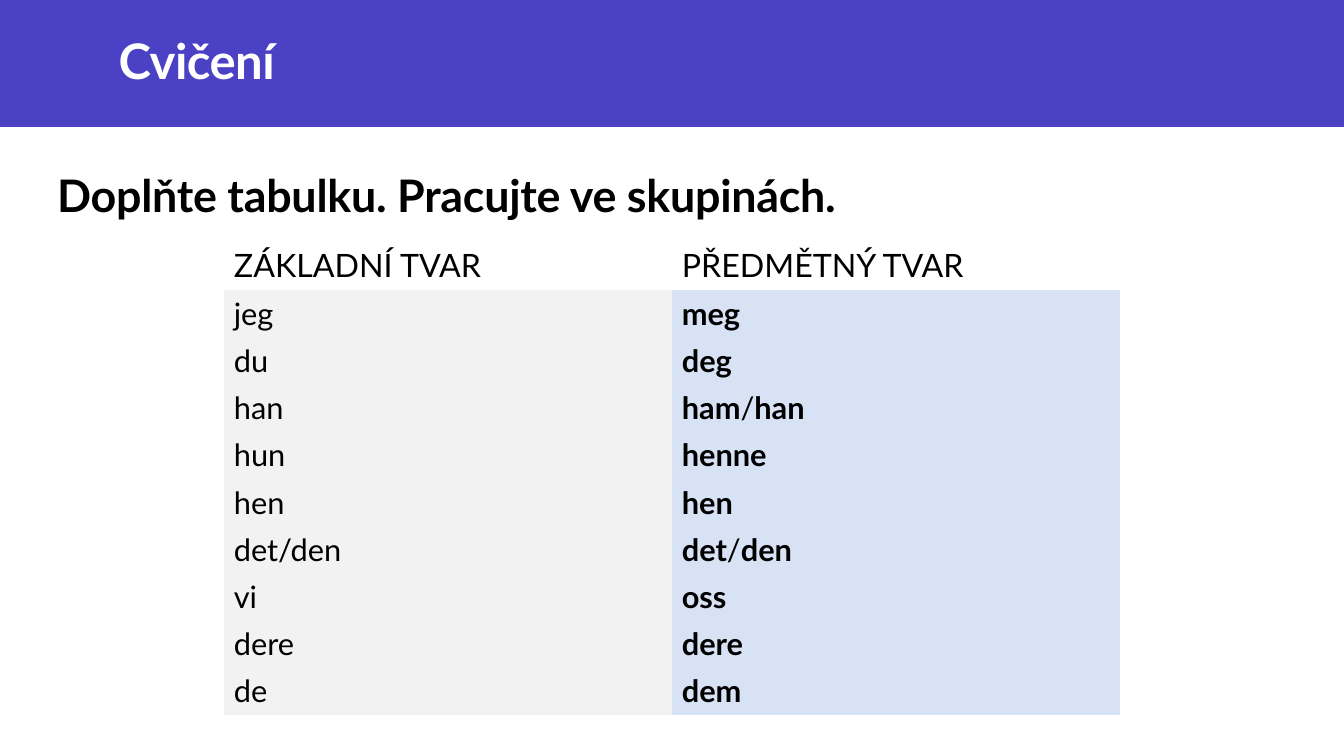
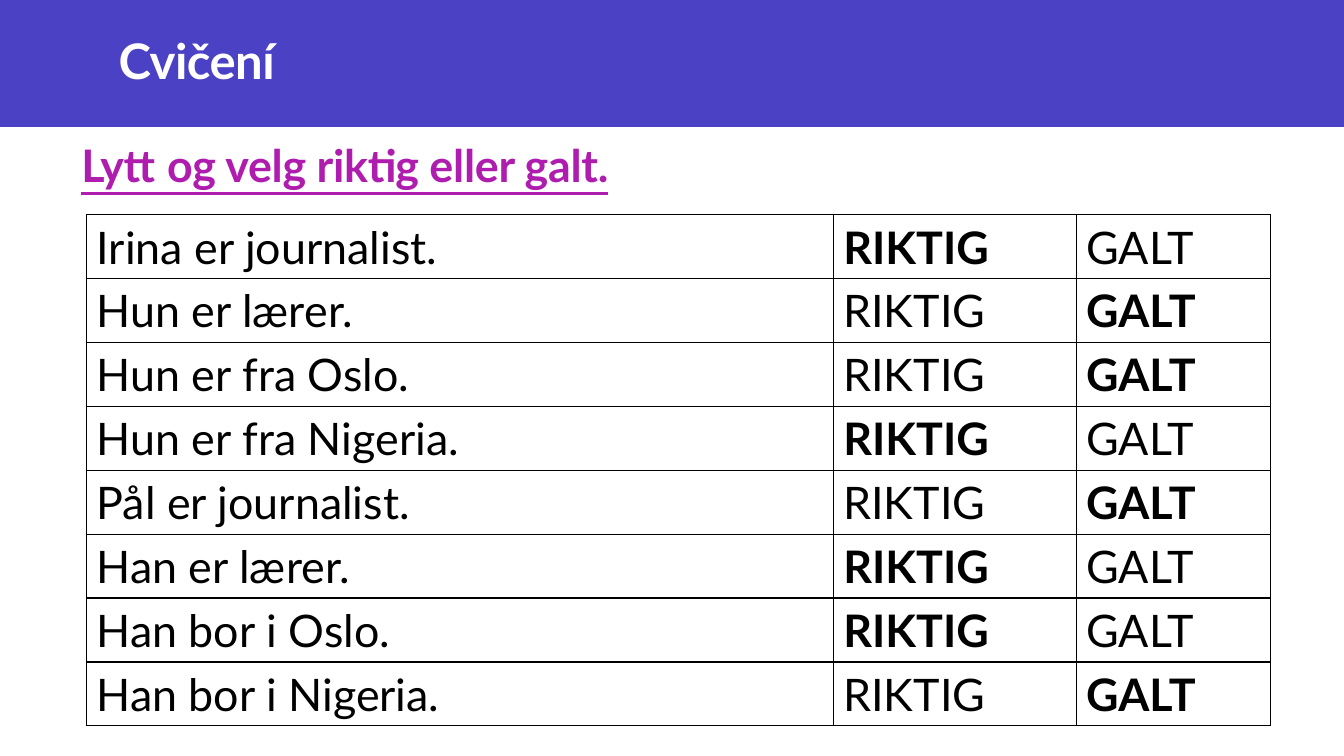
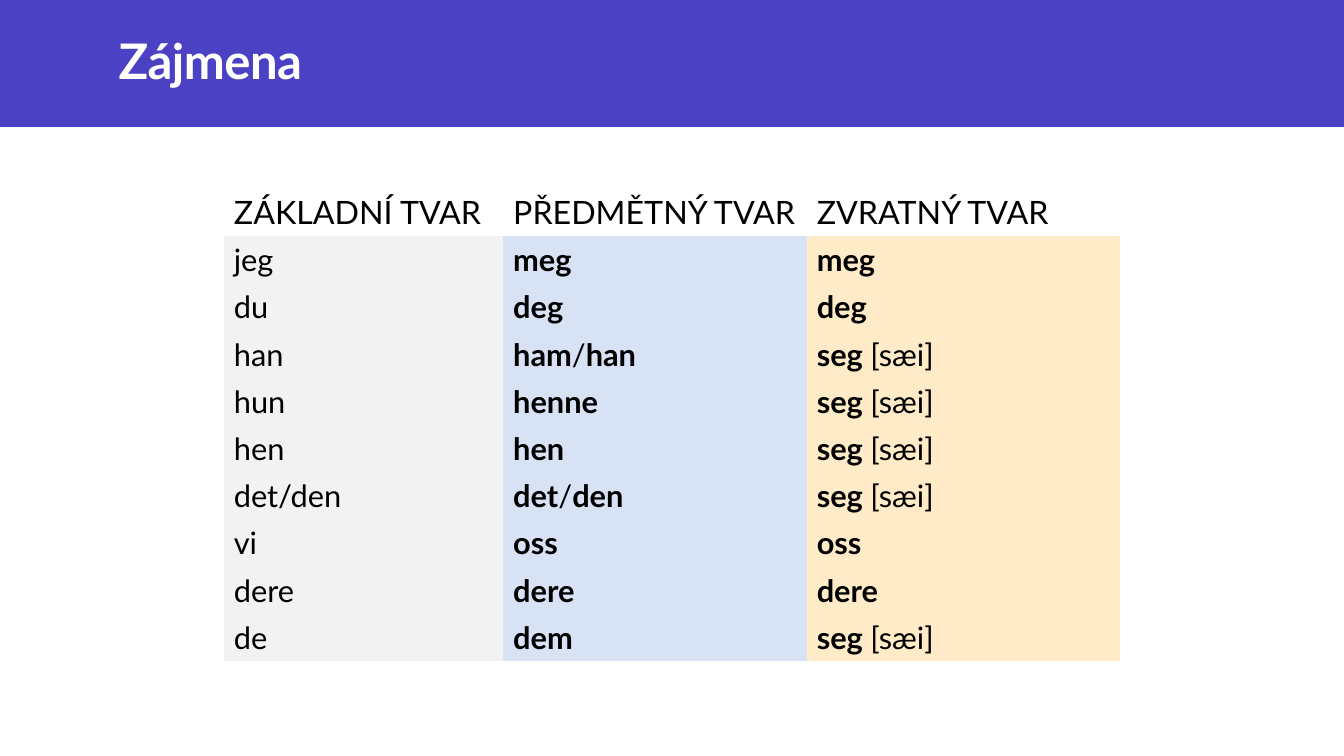
from lxml.etree import SubElement
from pptx import Presentation
from pptx.dml.color import RGBColor
from pptx.enum.shapes import MSO_SHAPE
from pptx.enum.text import MSO_ANCHOR
from pptx.oxml.ns import qn
from pptx.util import Cm, Pt

FONT = "Lato"
VIOLET, MAGENTA, BLACK, WHITE = "4A41C5", "AF1DAF", "000000", "FFFFFF"
GREY, BLUE, CREAM = "F2F2F2", "D7E2F5", "FFEBC7"
NO_STYLE = "{2D5ABB26-0587-4C30-8999-92F81FD0307C}"


def paint(fill, colour):
    fill.solid()
    fill.fore_color.rgb = RGBColor.from_string(colour)


def write(paragraph, text, size, colour=BLACK, spacing=0):
    for index, part in enumerate(text.split("*")):
        if part:
            run = paragraph.add_run()
            run.text = part
            run.font.bold = index % 2 == 1
            if spacing:
                run.font._element.set("spc", str(spacing))
    paragraph.font.name = FONT
    paragraph.font.size = Pt(size)
    paint(paragraph.font.fill, colour)


pronouns = [
    ("ZÁKLADNÍ TVAR", "PŘEDMĚTNÝ TVAR", "ZVRATNÝ TVAR"),
    ("jeg", "*meg*", "*meg*"),
    ("du", "*deg*", "*deg*"),
    ("han", "*ham*/*han*", "*seg *[sæi]"),
    ("hun", "*henne*", "*seg *[sæi]"),
    ("hen", "*hen*", "*seg *[sæi]"),
    ("det/den", "*det*/*den*", "*seg *[sæi]"),
    ("vi", "*oss*", "*oss*"),
    ("dere", "*dere*", "*dere*"),
    ("de", "*dem*", "*seg *[sæi]"),
]
statements = [
    ("Irina er journalist.", True),
    ("Hun er lærer.", False),
    ("Hun er fra Oslo.", False),
    ("Hun er fra Nigeria.", True),
    ("Pål er journalist.", False),
    ("Han er lærer.", True),
    ("Han bor i Oslo.", True),
    ("Han bor i Nigeria.", False),
]
answers = [
    (sentence, "*RIKTIG*" if correct else "RIKTIG", "GALT" if correct else "*GALT*")
    for sentence, correct in statements
]

pronoun_style = {
    "fills": (GREY, BLUE, CREAM), "left": 5.64, "border": False,
    "header": (23, 1.23), "body": (22, 1.19),
}
answer_style = {
    "fills": (WHITE, WHITE, WHITE), "left": 2.18, "border": True,
    "header": (32, 1.61), "body": (32, 1.61),
}
pages = [
    ("Cvičení", ("Doplňte tabulku. Pracujte ve skupinách.", 1.19, 3.96, BLACK, False),
     pronouns, pronoun_style, 6.07, (11.29, 11.29)),
    ("Cvičení", ("Lytt og velg riktig eller galt.", 1.8, 3.2, MAGENTA, True),
     answers, answer_style, 5.41, (18.82, 6.12, 4.9)),
    ("Zájmena", None, pronouns, pronoun_style, 4.72, (7.04, 7.65, 7.89)),
]

presentation = Presentation()
presentation.slide_width = Cm(33.87)
presentation.slide_height = Cm(19.05)

for title, task, rows, style, top, widths in pages:
    slide = presentation.slides.add_slide(presentation.slide_layouts[6])

    band = slide.shapes.add_shape(MSO_SHAPE.RECTANGLE, 0, 0, presentation.slide_width, Cm(3.2))
    band.shadow.inherit = False
    paint(band.fill, VIOLET)
    band.line.fill.background()

    title_box = slide.shapes.add_textbox(Cm(2.74), Cm(0.76), Cm(28.93), Cm(1.68))
    title_box.text_frame.word_wrap = True
    title_box.text_frame.vertical_anchor = MSO_ANCHOR.MIDDLE
    paragraph = title_box.text_frame.paragraphs[0]
    paragraph.line_spacing = 0.9
    write(paragraph, f"*{title}*", 35, WHITE, -40)

    if task:
        text, task_left, task_top, colour, underlined = task
        task_box = slide.shapes.add_textbox(Cm(task_left), Cm(task_top), Cm(29.87), Cm(1.8))
        task_box.text_frame.word_wrap = True
        paragraph = task_box.text_frame.paragraphs[0]
        paragraph.line_spacing = 1.1
        write(paragraph, f"*{text}*", 32, colour, -20)
        paragraph.font.underline = underlined

    sizes = [style["header"]] + [style["body"]] * (len(rows) - 1)
    table = slide.shapes.add_table(
        len(rows), len(widths), Cm(style["left"]), Cm(top),
        Cm(sum(widths)), Cm(sum(height for _, height in sizes)),
    ).table
    table.first_row = False
    table.horz_banding = False
    table._tbl.tblPr.find(qn("a:tableStyleId")).text = NO_STYLE

    for column, width in zip(table.columns, widths):
        column.width = Cm(width)
    for row_index, (texts, (size, height)) in enumerate(zip(rows, sizes)):
        table.rows[row_index].height = Cm(height)
        for column_index in range(len(widths)):
            cell = table.cell(row_index, column_index)
            write(cell.text_frame.paragraphs[0], texts[column_index], size)
            if style["border"]:
                properties = cell._tc.get_or_add_tcPr()
                for side in ("a:lnL", "a:lnR", "a:lnT", "a:lnB"):
                    line = SubElement(properties, qn(side), w=str(Pt(1)))
                    solid = SubElement(line, qn("a:solidFill"))
                    SubElement(solid, qn("a:srgbClr"), val=BLACK)
            paint(cell.fill, style["fills"][column_index] if row_index else WHITE)

presentation.save("out.pptx")
